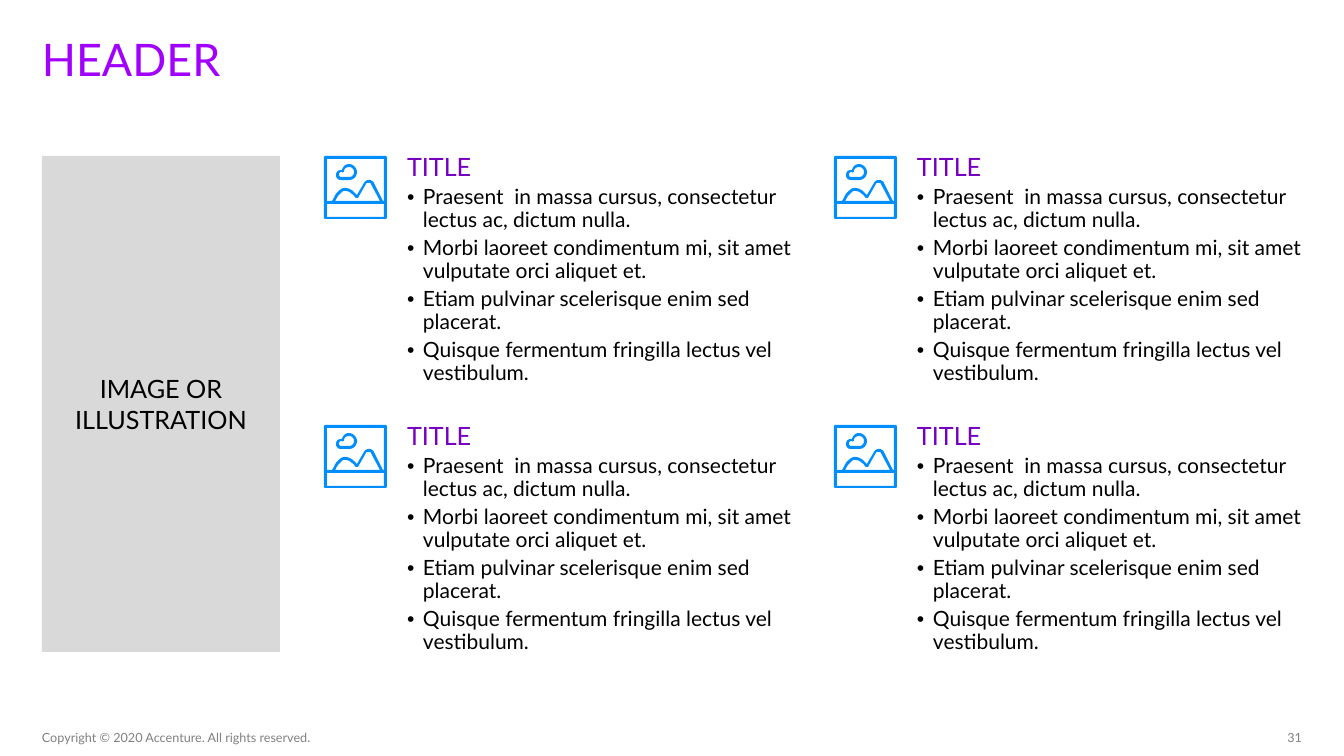
import lxml.etree
import pptx
import pptx.dml.color
import pptx.enum.shapes
import pptx.enum.text
import pptx.oxml.ns
import pptx.util

SLIDE_W, SLIDE_H = 1344, 756
EMU_PER_PX = 12192000 / SLIDE_W
FONT = "Lato"
COLORS = {
    "header": "A100FF",
    "title": "7500C0",
    "icon": "008EFF",
    "body": "000000",
    "panel": "D9D9D9",
    "footer": "808080",
}
ALIGN = pptx.enum.text.PP_ALIGN
ANCHOR = pptx.enum.text.MSO_ANCHOR

BULLETS = [
    "Praesent  in massa cursus, consectetur lectus ac, dictum nulla.",
    "Morbi laoreet condimentum mi, sit amet vulputate orci aliquet et.",
    "Etiam pulvinar scelerisque enim sed placerat.",
    "Quisque fermentum fringilla lectus vel vestibulum.",
]

# Outlines in px from the icon's corner: pairs are corners, sixes are cubic curves.
FRAME = [(1, 0), (62, 0), (63, 1), (63, 62), (62, 63), (1, 63), (0, 62), (0, 1)]
SKY = [
    (60, 3), (60, 45), (59, 45), (50, 27),
    (49, 25, 47, 24, 45, 24), (43, 24, 41, 25, 40, 27), (33, 39),
    (32, 38, 31, 37, 30, 36), (28, 34, 25, 32, 21, 32),
    (19, 32, 17, 33, 16, 34), (13, 36, 11, 39, 10, 42),
    (9, 43, 9, 44, 8, 45), (3, 45), (3, 3),
]
MOUNTAINS = [
    (32, 42), (34, 42), (42, 28),
    (42, 27, 44, 27, 45, 27), (46, 27, 47, 27, 47, 28), (56, 45), (11, 45),
    (12, 44, 13, 41, 15, 39), (16, 38, 17, 37, 18, 36),
    (19, 35, 20, 35, 21, 35), (24, 35, 26, 36, 28, 38),
    (30, 39, 30, 40, 31, 41),
]
GROUND = [(3, 48), (60, 48), (60, 61), (3, 61)]
CLOUD_OUTER = [
    (17, 24), (25, 24),
    (29, 24, 33, 21, 33, 16), (33, 12, 29, 8, 25, 8),
    (22, 8, 19, 10, 18, 14), (17, 14),
    (14, 14, 12, 16, 12, 19), (12, 22, 14, 24, 17, 24),
]
CLOUD_INNER = [
    (17, 16), (18, 16),
    (19, 17, 19, 17, 19, 16), (20, 16, 20, 16, 20, 15),
    (20, 13, 22, 11, 25, 11), (28, 11, 30, 13, 30, 16),
    (30, 19, 28, 21, 25, 21), (17, 21),
    (16, 21, 15, 20, 15, 19), (15, 17, 16, 16, 17, 16),
]
ICON_PARTS = [[FRAME, SKY, MOUNTAINS, GROUND], [CLOUD_OUTER, CLOUD_INNER]]


def px(length):
    return pptx.util.Emu(round(length * EMU_PER_PX))


def rgb(name):
    return pptx.dml.color.RGBColor.from_string(COLORS[name])


def paint(shape, color):
    shape.shadow.inherit = False
    shape.fill.solid()
    shape.fill.fore_color.rgb = rgb(color)
    shape.line.fill.background()


def add_bullet(paragraph, indent):
    properties = paragraph._p.get_or_add_pPr()
    properties.set("marL", str(px(indent)))
    properties.set("indent", str(-px(indent)))
    for tag, key, value in (("a:buFont", "typeface", "Arial"), ("a:buChar", "char", "•")):
        lxml.etree.SubElement(properties, pptx.oxml.ns.qn(tag)).set(key, value)


def write(frame, text, *, size, color, align=ALIGN.LEFT, spacing=1.0, before=0, bullet=False):
    """Fill the frame's empty first paragraph, or append a new one."""
    first = frame.paragraphs[0]
    paragraph = frame.add_paragraph() if first.runs else first
    paragraph.alignment = align
    paragraph.line_spacing = spacing
    if before:
        paragraph.space_before = pptx.util.Pt(before)
    if bullet:
        add_bullet(paragraph, 16)
    run = paragraph.add_run()
    run.text = text
    run.font.name = FONT
    run.font.size = pptx.util.Pt(size)
    run.font.color.rgb = rgb(color)


def add_frame(slide, left, top, width, height, anchor=ANCHOR.TOP):
    frame = slide.shapes.add_textbox(px(left), px(top), px(width), px(height)).text_frame
    frame.word_wrap = True
    frame.vertical_anchor = anchor
    frame.margin_left = frame.margin_right = frame.margin_top = frame.margin_bottom = 0
    return frame


def flatten(outline, steps=8):
    """Turn an outline of corners and cubic curves into a list of points."""
    points = []
    for segment in outline:
        if len(segment) == 2:
            points.append(segment)
            continue
        start, ends = points[-1], segment
        for step in range(1, steps + 1):
            t = step / steps
            u = 1 - t
            points.append(tuple(
                u**3 * start[axis] + 3 * u * u * t * ends[axis]
                + 3 * u * t * t * ends[axis + 2] + t**3 * ends[axis + 4]
                for axis in (0, 1)
            ))
    return points


def add_icon(slide, left, top):
    group = slide.shapes.add_group_shape()
    for part in ICON_PARTS:
        outlines = [
            [(px(left + x), px(top + y)) for x, y in flatten(outline)] for outline in part
        ]
        builder = group.shapes.build_freeform(*outlines[0][0])
        for number, points in enumerate(outlines):
            if number:
                builder.move_to(*points[0])
            builder.add_line_segments(points[1:], close=True)
        paint(builder.convert_to_shape(), "icon")


def add_topic(slide, left, top):
    add_icon(slide, left, top)
    frame = add_frame(slide, left + 83, top + 1, 385, 232)
    write(frame, "TITLE", size=18, color="title", spacing=0.8)
    for bullet in BULLETS:
        write(frame, bullet, size=15, color="body", spacing=0.9, before=4, bullet=True)


def add_illustration_panel(slide):
    panel = slide.shapes.add_shape(
        pptx.enum.shapes.MSO_SHAPE.RECTANGLE, px(42), px(156), px(238), px(496)
    )
    paint(panel, "panel")
    panel.text_frame.word_wrap = True
    panel.text_frame.vertical_anchor = ANCHOR.MIDDLE
    write(panel.text_frame, "IMAGE OR ILLUSTRATION", size=18, color="body", align=ALIGN.CENTER)


def add_footer(slide):
    copyright_line = add_frame(slide, 42, 730, 300, 15, ANCHOR.BOTTOM)
    write(copyright_line, "Copyright © 2020 Accenture. All rights reserved.", size=9, color="footer")
    page_number = add_frame(slide, 1234, 730, 68, 15, ANCHOR.BOTTOM)
    write(page_number, "31", size=9, color="footer", align=ALIGN.RIGHT)


def main():
    deck = pptx.Presentation()
    deck.slide_width, deck.slide_height = px(SLIDE_W), px(SLIDE_H)
    slide = deck.slides.add_slide(deck.slide_layouts[6])
    add_footer(slide)
    header = add_frame(slide, 42, 42, 1260, 99)
    write(header, "HEADER", size=32, color="header", spacing=0.8)
    for row in range(2):
        for column in range(2):
            add_topic(slide, 324 + 510 * column, 156 + 269 * row)
    add_illustration_panel(slide)
    deck.save("out.pptx")


if __name__ == "__main__":
    main()
